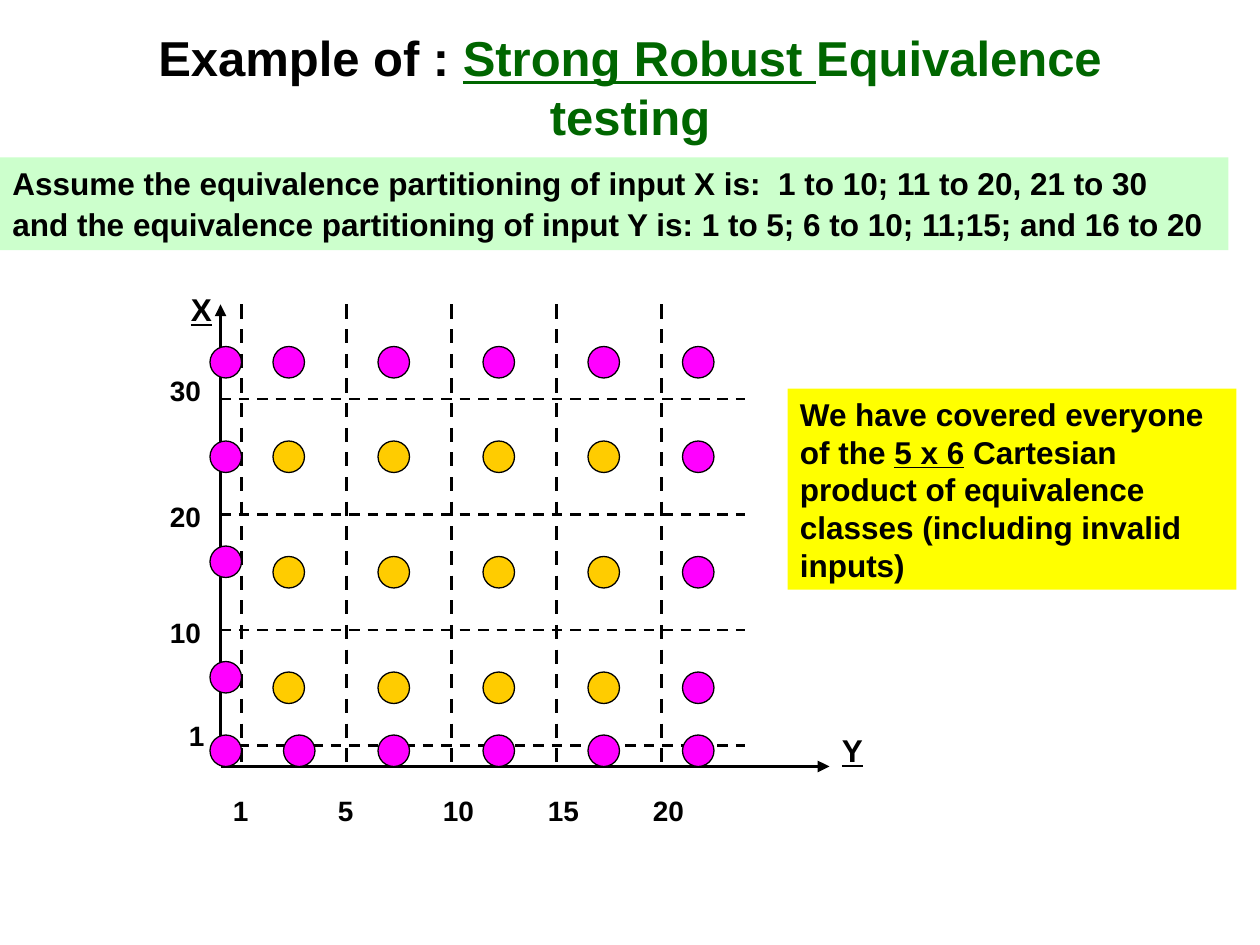
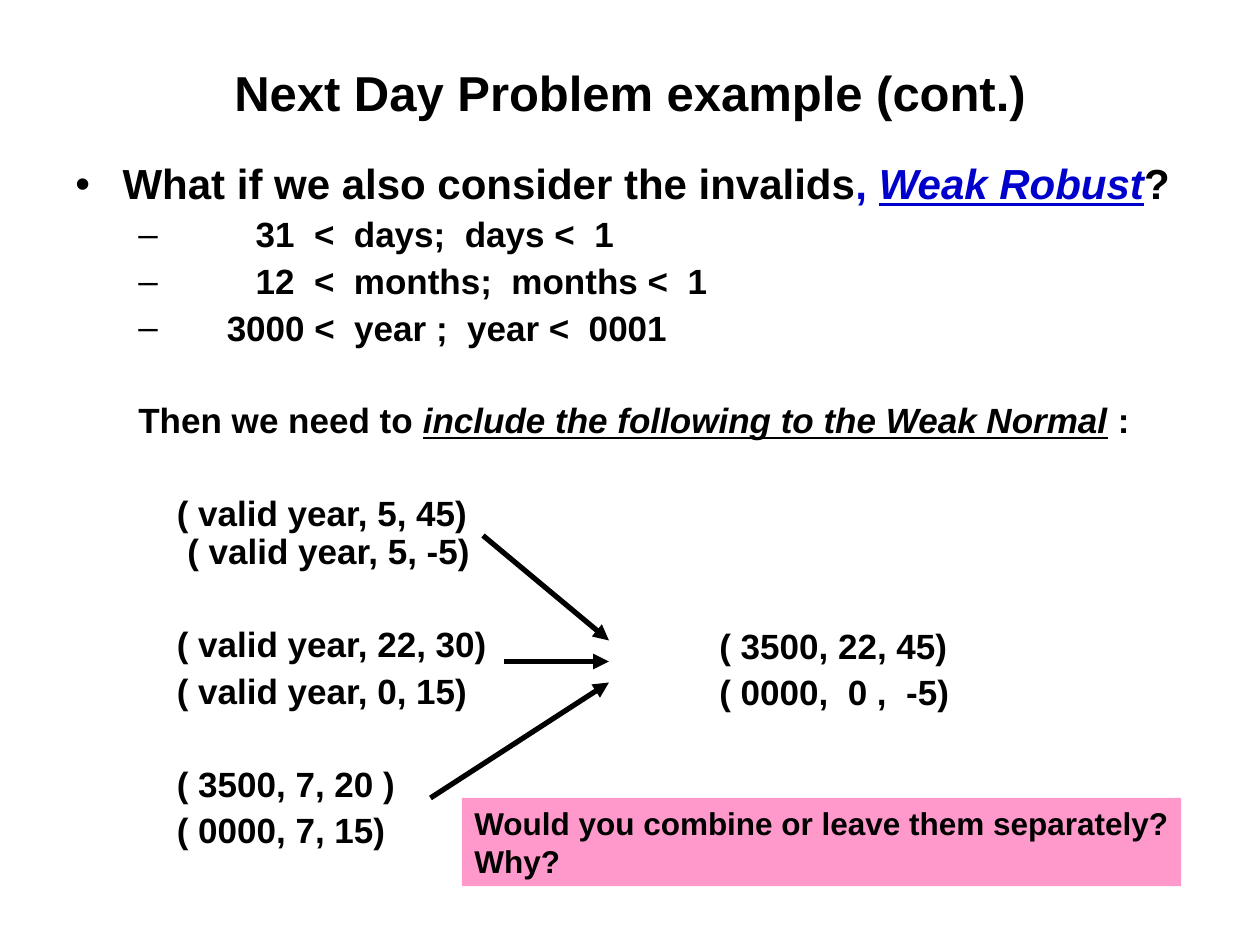
from dataclasses import dataclass
from itertools import product
from typing import Optional, Sequence

from lxml.etree import SubElement
from pptx import Presentation
from pptx.dml.color import RGBColor
from pptx.enum.dml import MSO_LINE
from pptx.enum.shapes import MSO_CONNECTOR, MSO_SHAPE
from pptx.enum.text import MSO_ANCHOR, MSO_AUTO_SIZE, PP_ALIGN
from pptx.oxml.ns import qn
from pptx.slide import Slide
from pptx.text.text import TextFrame
from pptx.util import Pt

# Shared look
FONT = "Arial"
BLACK, GREEN, BLUE = "000000", "006600", "0000CC"
MINT, YELLOW, PINK = "CCFFCC", "FFFF00", "FF99CC"
GOLD, MAGENTA = "FFCC00", "FF00FF"


@dataclass
class Bit:
    text: str
    hue: str = BLACK
    under: bool = False
    slant: bool = False
    size: Optional[float] = None


@dataclass
class Line:
    bits: Sequence[Bit]
    size: float = 18
    left: float = 0
    hang: float = 0
    before: float = 0
    pitch: float = 1
    mark: str = ""


@dataclass
class Box:
    left: float
    top: float
    width: float
    height: float

    def lengths(self) -> list[Pt]:
        return [Pt(v) for v in (self.left, self.top, self.width, self.height)]


@dataclass
class Stroke:
    x1: float
    y1: float
    x2: float
    y2: float
    weight: float
    dash: bool = False
    arrow: bool = False


def paint(hue: str) -> RGBColor:
    return RGBColor.from_string(hue)


def plain(text: str, size: float = 18, **look) -> Line:
    return Line([Bit(text)], size, **look)


# Text
def write(frame: TextFrame, lines: Sequence[Line], wrap: bool = True,
          align: PP_ALIGN = PP_ALIGN.LEFT) -> None:
    frame.word_wrap = wrap
    frame.auto_size = MSO_AUTO_SIZE.NONE
    for i, line in enumerate(lines):
        para = frame.paragraphs[0] if i == 0 else frame.add_paragraph()
        para.text = line.bits[0].text
        for bit in line.bits[1:]:
            para.add_run().text = bit.text
        para.alignment = align
        para.line_spacing = line.pitch
        para.space_before = Pt(line.before)
        for bit, run in zip(line.bits, para.runs):
            font = run.font
            font.name, font.bold = FONT, True
            font.size = Pt(bit.size or line.size)
            font.color.rgb = paint(bit.hue)
            font.underline, font.italic = bit.under, bit.slant
        props = para._p.get_or_add_pPr()
        props.set("marL", str(Pt(line.left)))
        props.set("indent", str(Pt(line.hang)))
        if line.mark:
            tint = SubElement(props, qn("a:buClr"))
            SubElement(tint, qn("a:srgbClr"), val=BLACK)
            SubElement(props, qn("a:buFont"), typeface=FONT)
            SubElement(props, qn("a:buChar"), char=line.mark)
        else:
            SubElement(props, qn("a:buNone"))


def add_title(slide: Slide, height: float, bits: Sequence[Bit]) -> None:
    title = slide.shapes.title
    box = Box(36, 21.6, 648, height)
    title.left, title.top, title.width, title.height = box.lengths()
    title.text_frame.vertical_anchor = MSO_ANCHOR.MIDDLE
    write(title.text_frame, [Line(bits, 28)], align=PP_ALIGN.CENTER)


def add_text(slide: Slide, box: Box, lines: Sequence[Line],
             wrap: bool = True) -> None:
    write(slide.shapes.add_textbox(*box.lengths()).text_frame, lines, wrap)


# Shapes and lines
def add_band(slide: Slide, box: Box, hue: str, lines: Sequence[Line],
             wrap: bool = True) -> None:
    band = slide.shapes.add_shape(MSO_SHAPE.RECTANGLE, *box.lengths())
    band.shadow.inherit = False
    band.fill.solid()
    band.fill.fore_color.rgb = paint(hue)
    band.line.fill.background()
    band.text_frame.vertical_anchor = MSO_ANCHOR.TOP
    write(band.text_frame, lines, wrap)


def add_dot(slide: Slide, left: float, top: float, hue: str) -> None:
    dot = slide.shapes.add_shape(MSO_SHAPE.OVAL,
                                 *Box(left, top, 18, 18).lengths())
    dot.shadow.inherit = False
    dot.fill.solid()
    dot.fill.fore_color.rgb = paint(hue)
    dot.line.color.rgb = paint(BLACK)
    dot.line.width = Pt(0.75)


def add_stroke(slide: Slide, stroke: Stroke) -> None:
    ends = [Pt(v) for v in (stroke.x1, stroke.y1, stroke.x2, stroke.y2)]
    link = slide.shapes.add_connector(MSO_CONNECTOR.STRAIGHT, *ends)
    link.line.color.rgb = paint(BLACK)
    link.line.width = Pt(stroke.weight)
    if stroke.dash:
        link.line.dash_style = MSO_LINE.DASH
    if stroke.arrow:
        SubElement(link.line._get_or_add_ln(), qn("a:tailEnd"),
                   type="triangle")
    SubElement(link._element.spPr, qn("a:effectLst"))


# Slide 1: grid of test points
def draw_grid(slide: Slide) -> None:
    add_title(slide, 56, [Bit("Example of : "),
                          Bit("Strong Robust ", GREEN, under=True),
                          Bit("Equivalence testing", GREEN)])
    add_band(slide, Box(0, 90, 702, 53), MINT, [
        plain("Assume the equivalence partitioning of input X is:  "
              "1 to 10; 11 to 20, 21 to 30"),
        Line([Bit("and the equivalence partitioning of input Y is: "
                  "1 to 5; 6 to 10; 11;15; and 16 to 20"),
              Bit(" ", size=20)])], wrap=False)

    # Axes and class borders
    left, right, top, base = 126, 426, 174, 438
    add_stroke(slide, Stroke(left, base, left, top, 2.25, arrow=True))
    add_stroke(slide, Stroke(left, base, 474, base, 2.25, arrow=True))
    for y in range(426, 227, -66):
        add_stroke(slide, Stroke(left, y, right, y, 1.5, dash=True))
    for x in range(138, 379, 60):
        add_stroke(slide, Stroke(x, top, x, base, 2, dash=True))

    # Axis names and marks
    for name, x, y in (("X", 102, 162), ("Y", 474, 414)):
        add_text(slide, Box(x, y, 26, 29),
                 [Line([Bit(name, under=True)])], wrap=False)
    marks = [("1", 100.8, 406.8), ("10", 90, 348),
             ("20", 90, 282), ("30", 90, 210)]
    marks += [(name, left + 60 * i, 450)
              for i, name in enumerate(("1", "5", "10", "15", "20"))]
    for name, x, y in marks:
        add_text(slide, Box(x, y, 14 + 9 * len(name), 26.6),
                 [plain(name, 16)], wrap=False)

    # Valid points inside, invalid points around them
    cols, rows = range(156, 337, 60), (252, 318, 384)
    for x, y in product(cols, rows):
        add_dot(slide, x, y, GOLD)
    rim = [(x, 198) for x in cols]
    rim += [(x, 420) for x in (162, *cols[1:])]
    rim += [(120, y) for y in (198, 252, 312, 378, 420)]
    rim += [(390, y) for y in (198, *rows, 420)]
    for x, y in rim:
        add_dot(slide, x, y, MAGENTA)

    add_band(slide, Box(450, 222, 256.5, 115), YELLOW, [
        plain("We have covered everyone"),
        Line([Bit("of the "), Bit("5 x 6", under=True),
              Bit(" Cartesian product of equivalence")]),
        plain("classes (including invalid"),
        plain("inputs)")])


# Slide 2: invalid dates
def draw_dates(slide: Slide) -> None:
    add_title(slide, 62.4, [Bit("Next Day Problem example (cont.)")])

    def item(text: str, left: float = 58, before: float = 5,
             **look) -> Line:
        return plain(text, 20, left=left, before=before, pitch=0.9, **look)

    def range_item(text: str, left: float) -> Line:
        return item(text, left, hang=36 - left, mark="–")

    gap = 31.5
    add_text(slide, Box(36, 90, 648, 405), [
        Line([Bit("What if we also consider the invalids"), Bit(", ", BLUE),
              Bit("Weak Robust", BLUE, under=True, slant=True), Bit("?")],
             24, left=27, hang=-27, before=6, pitch=0.9, mark="•"),
        range_item("31  <  days;  days <  1", 103),
        range_item("12  <  months;  months <  1", 103),
        range_item("3000 <  year ;  year <  0001", 86.5),
        Line([Bit("Then we need to "),
              Bit("include the following to the Weak Normal",
                  under=True, slant=True), Bit(" :")],
             20, left=36, before=gap, pitch=0.9),
        item("( valid year, 5, 45)", before=gap),
        item("( valid year, 5, -5)", left=64, before=0),
        item("( valid year, 22, 30)", before=gap),
        item("( valid year, 0, 15)"),
        item("( 3500, 7, 20 )", before=gap),
        item("( 0000, 7, 15)")])

    # Combined cases
    add_text(slide, Box(404, 356, 200, 58), [
        item("( 3500, 22, 45)", left=0, before=0),
        item("( 0000,  0 ,  -5)", left=0)])
    for x, y, tip in ((276, 306, 366), (288, 378, 378), (246, 456, 390)):
        add_stroke(slide, Stroke(x, y, 348, tip, 3, arrow=True))

    add_band(slide, Box(264, 456, 411, 50.4), PINK, [
        plain("Would you combine or leave them separately?"),
        plain("Why?")], wrap=False)


def main() -> None:
    deck = Presentation()
    deck.slide_width, deck.slide_height = Pt(720), Pt(540)
    for draw in (draw_grid, draw_dates):
        draw(deck.slides.add_slide(deck.slide_layouts[5]))
    deck.save("out.pptx")


if __name__ == "__main__":
    main()
